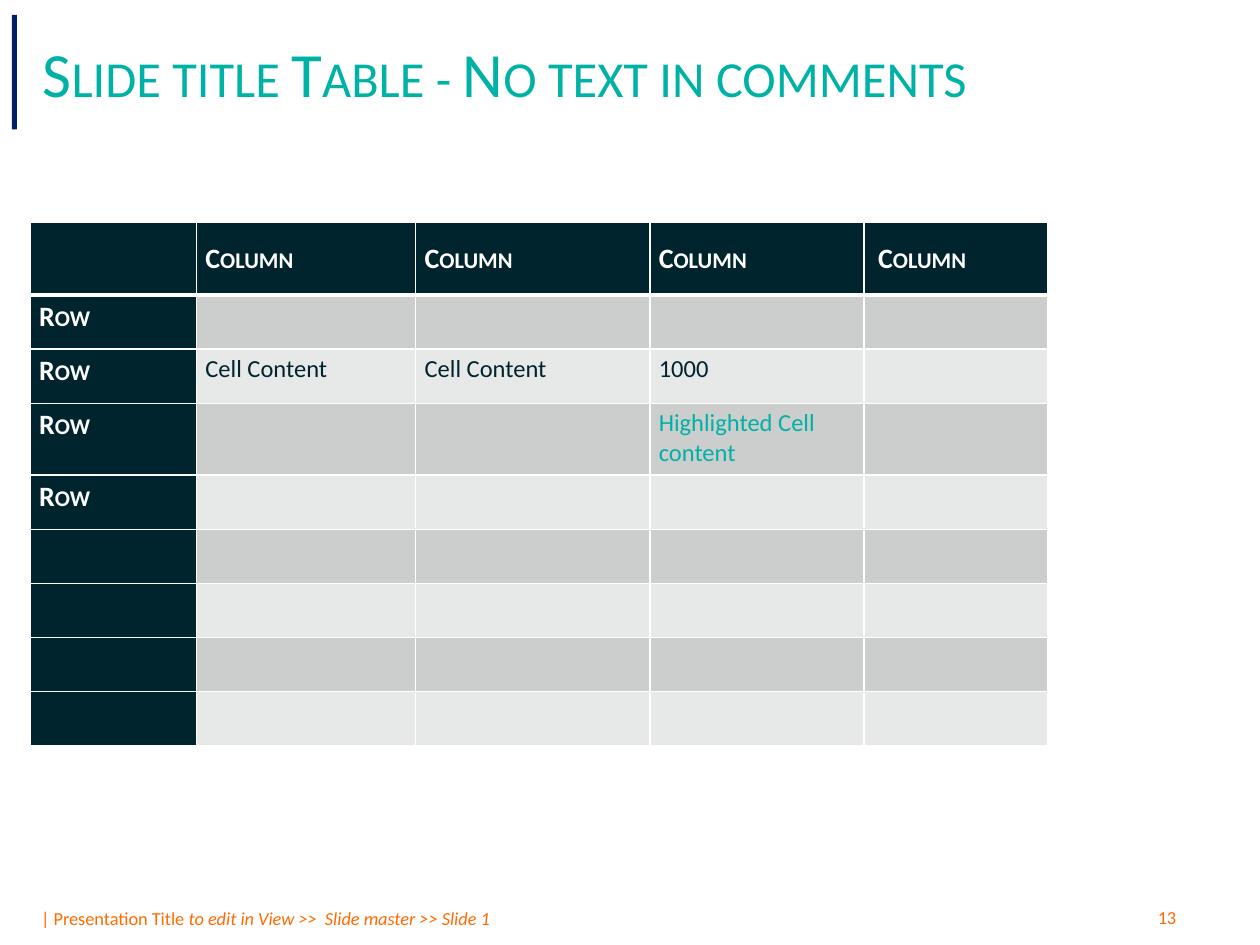
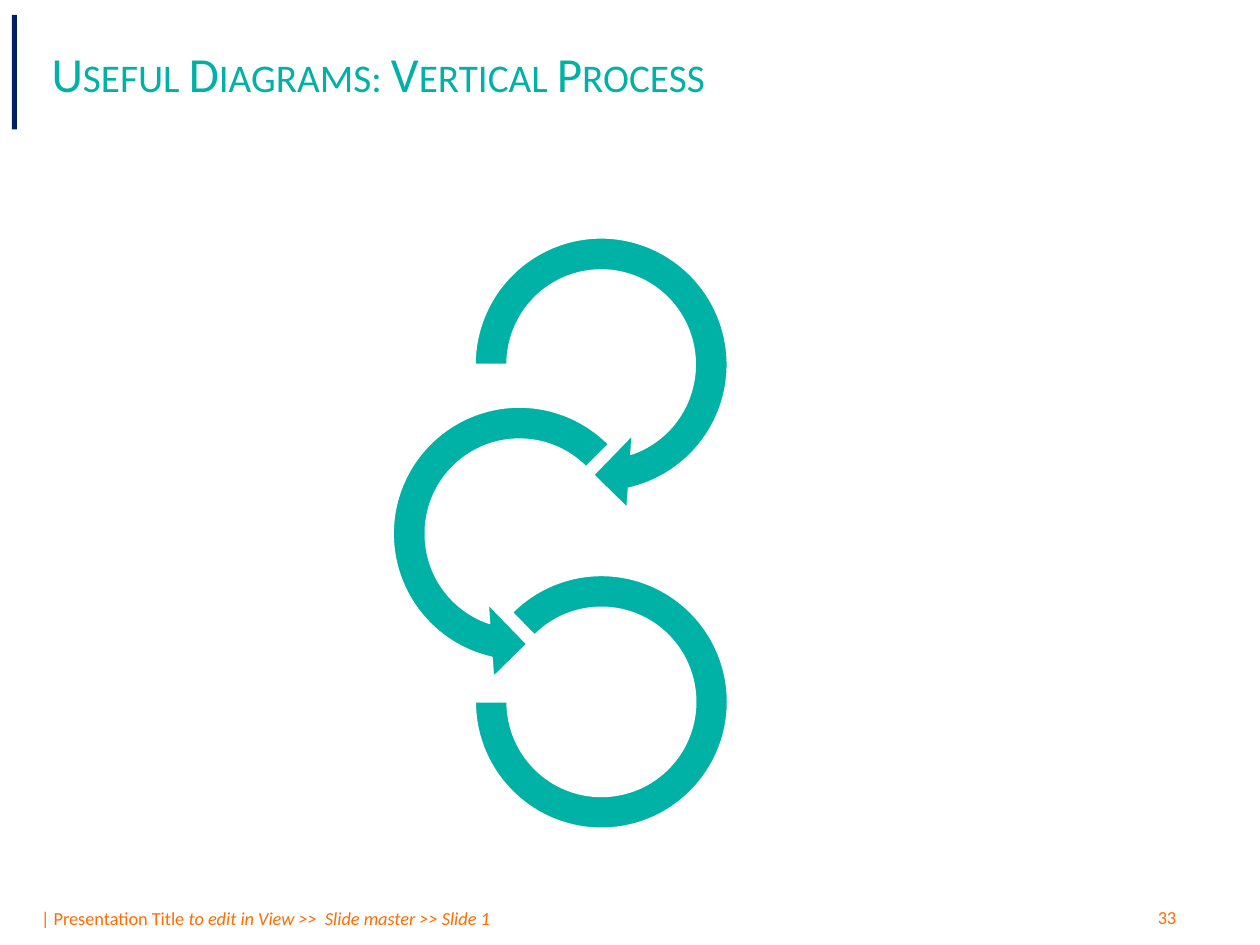
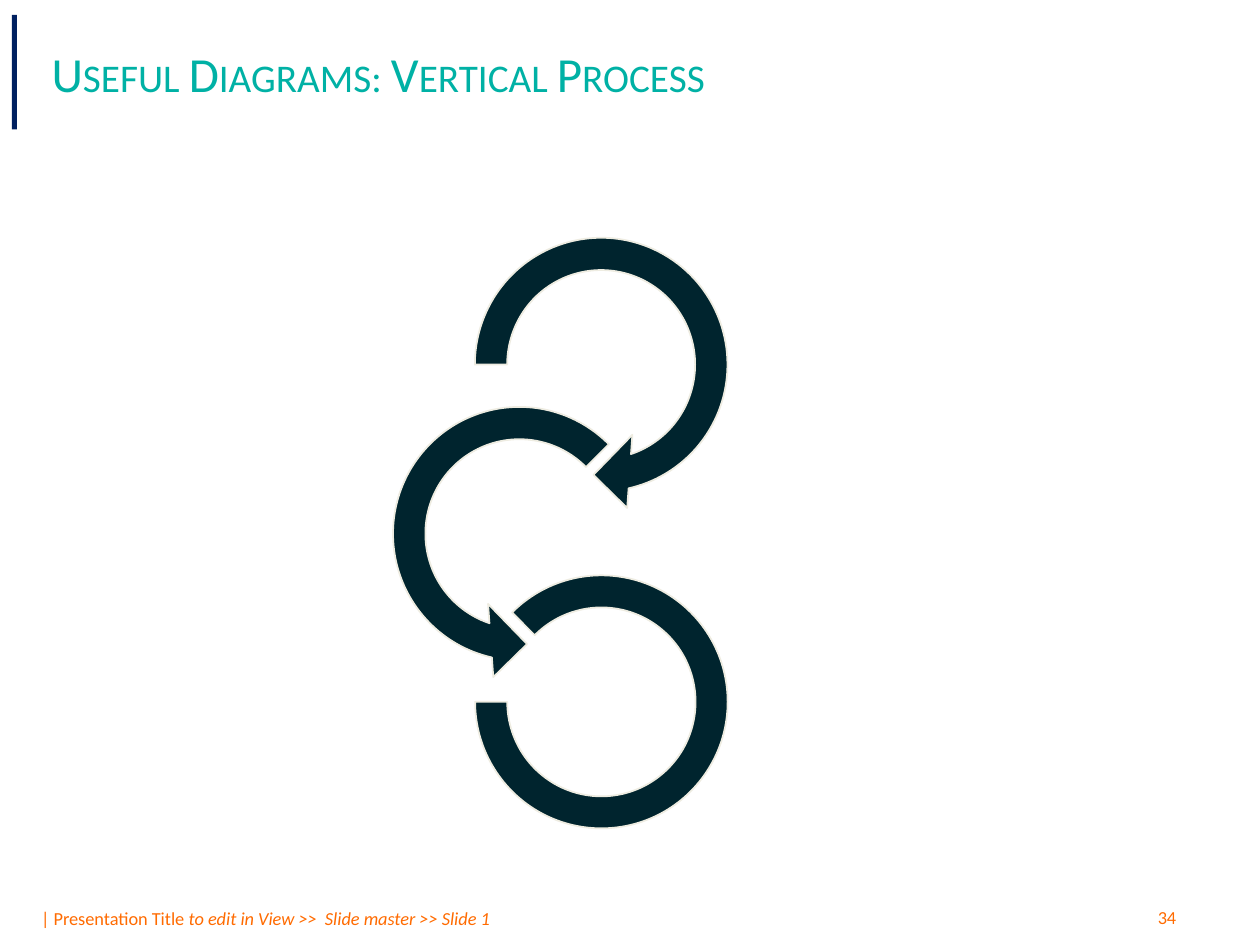
from dataclasses import dataclass

import lxml.etree
import pptx
import pptx.dml.color
import pptx.enum.shapes
import pptx.enum.text
import pptx.oxml.ns
import pptx.presentation
import pptx.shapes.base
import pptx.slide
import pptx.table
import pptx.text.text
import pptx.util

Cm = pptx.util.Cm
Pt = pptx.util.Pt
RGBColor = pptx.dml.color.RGBColor
MSO_SHAPE = pptx.enum.shapes.MSO_SHAPE
MSO_ANCHOR = pptx.enum.text.MSO_ANCHOR
MSO_AUTO_SIZE = pptx.enum.text.MSO_AUTO_SIZE

TEAL = RGBColor(0x00, 0xB1, 0xA5)
INK = RGBColor(0x00, 0x24, 0x2E)
NAVY = RGBColor(0x00, 0x20, 0x60)
ORANGE = RGBColor(0xFF, 0x6B, 0x00)
WHITE = RGBColor(0xFF, 0xFF, 0xFF)
CREAM = RGBColor(0xEE, 0xEC, 0xE1)
BAND_DARK = RGBColor(0xCC, 0xCD, 0xCD)
BAND_LIGHT = RGBColor(0xE7, 0xE8, 0xE8)

FONT = "Calibri"
FOOTER_FORMAT = {"name": FONT, "size": Pt(10.5)}
HEADING_FORMAT = {"name": FONT, "size": Pt(16), "bold": True}
CONTENT_FORMAT = {"name": FONT, "size": Pt(14), "bold": False}
CELL_FORMAT = {
    "margin_left": Cm(0.18),
    "margin_right": Cm(0.18),
    "margin_top": Cm(0.1),
    "margin_bottom": Cm(0.1),
}


@dataclass(frozen=True)
class Box:
    left: float
    top: float
    width: float
    height: float

    def lengths(self) -> tuple[pptx.util.Length, ...]:
        return Cm(self.left), Cm(self.top), Cm(self.width), Cm(self.height)


@dataclass(frozen=True)
class Title:
    text: str
    size: float
    box: Box


@dataclass(frozen=True)
class ProcessStep:
    outline: MSO_SHAPE
    box: Box
    adjustments: tuple[float, ...]


ACCENT_BAR = Box(0.24, 0.3, 0.1, 2.31)
FOOTER = Box(0.58, 18.16, 20.83, 0.71)
PAGE_NUMBER = Box(23.09, 18.14, 2.03, 0.71)

TABLE_TITLE = Title("Slide title Table - No text in comments", 36,
                    Box(0.61, 0.64, 19.79, 1.65))
PROCESS_TITLE = Title("Useful Diagrams: Vertical Process", 28,
                      Box(0.79, 0.64, 19.48, 1.68))

TABLE_ORIGIN = (Cm(0.61), Cm(4.48))
COLUMN_WIDTHS = (3.35, 4.42, 4.72, 4.32, 3.71)
ROW_HEIGHTS = (1.47, 1.09, 1.09, 1.45) + (1.09,) * 5
COLUMN_HEADINGS = ("", "Column", "Column", "Column", " Column")
ROW_HEADINGS = ("Row",) * 4
CELL_CONTENT = {
    (2, 1): ("Cell Content", INK),
    (2, 2): ("Cell Content", INK),
    (2, 3): ("1000", INK),
    (3, 3): ("Highlighted Cell content", TEAL),
}

PROCESS_STEPS = (
    ProcessStep(MSO_SHAPE.CIRCULAR_ARROW, Box(9.16, 4.38, 5.92, 5.94),
                (0.11, 11.42, 45, 108, 0.125)),
    ProcessStep(MSO_SHAPE.LEFT_CIRCULAR_ARROW, Box(7.51, 7.79, 5.92, 5.94),
                (0.11, 11.42, 63, 189, 0.125)),
    ProcessStep(MSO_SHAPE.BLOCK_ARC, Box(9.58, 11.6, 5.09, 5.1),
                (135, 108, 0.127)),
)


def apply_format(target: object, values: dict) -> None:
    for name, value in values.items():
        setattr(target, name, value)


def add_run(paragraph: pptx.text.text._Paragraph, text: str, values: dict,
            color: RGBColor, small_caps: bool = False) -> None:
    run = paragraph.add_run()
    run.text = text
    apply_format(run.font, values)
    run.font.color.rgb = color
    if small_caps:
        run._r.get_or_add_rPr().set("cap", "small")


def add_text_box(slide: pptx.slide.Slide, box: Box,
                 frame_format: dict) -> pptx.text.text._Paragraph:
    """Add an empty text box and return its first paragraph."""
    frame = slide.shapes.add_textbox(*box.lengths()).text_frame
    apply_format(frame, {"word_wrap": True, **frame_format})
    return frame.paragraphs[0]


def paint(shape: pptx.shapes.base.BaseShape, color: RGBColor) -> None:
    shape.shadow.inherit = False
    shape.fill.solid()
    shape.fill.fore_color.rgb = color


def add_slide(deck: pptx.presentation.Presentation, title: Title,
              page: int) -> pptx.slide.Slide:
    """Add a slide with the shared footer, page number, accent bar and title."""
    slide = deck.slides.add_slide(deck.slide_layouts[6])
    grow = {"auto_size": MSO_AUTO_SIZE.SHAPE_TO_FIT_TEXT}

    footer = add_text_box(slide, FOOTER, grow)
    add_run(footer, "| Presentation Title ", FOOTER_FORMAT, ORANGE)
    add_run(footer, "to edit in View >>  Slide master >> Slide 1",
            {**FOOTER_FORMAT, "italic": True}, ORANGE)
    add_run(add_text_box(slide, PAGE_NUMBER, grow), str(page),
            FOOTER_FORMAT, ORANGE)

    accent_bar = slide.shapes.add_shape(MSO_SHAPE.RECTANGLE, *ACCENT_BAR.lengths())
    paint(accent_bar, NAVY)
    accent_bar.line.fill.background()

    heading = add_text_box(slide, title.box, {"vertical_anchor": MSO_ANCHOR.MIDDLE})
    add_run(heading, title.text, {"name": FONT, "size": Pt(title.size)},
            TEAL, small_caps=True)
    return slide


def set_borders(cell: pptx.table._Cell, widths: dict[str, float]) -> None:
    """Draw white borders; call before the fill, which must follow them."""
    properties = cell._tc.get_or_add_tcPr()
    qn = pptx.oxml.ns.qn
    for side, width in widths.items():
        border = lxml.etree.SubElement(properties, qn(f"a:ln{side}"), w=str(Pt(width)))
        fill = lxml.etree.SubElement(border, qn("a:solidFill"))
        lxml.etree.SubElement(fill, qn("a:srgbClr"), val=str(WHITE))


def cell_fill(row: int, column: int) -> RGBColor:
    if row == 0 or column == 0:
        return INK
    return BAND_DARK if row % 2 else BAND_LIGHT


def style_cell(cell: pptx.table._Cell, row: int, column: int) -> None:
    set_borders(cell, {"L": 1, "R": 1, "T": 3 if row == 1 else 1,
                       "B": 3 if row == 0 else 1})
    cell.fill.solid()
    cell.fill.fore_color.rgb = cell_fill(row, column)
    apply_format(cell, CELL_FORMAT)
    if row == 0:
        cell.vertical_anchor = MSO_ANCHOR.MIDDLE


def add_content_table(slide: pptx.slide.Slide) -> None:
    table = slide.shapes.add_table(
        len(ROW_HEIGHTS), len(COLUMN_WIDTHS), *TABLE_ORIGIN,
        Cm(sum(COLUMN_WIDTHS)), Cm(sum(ROW_HEIGHTS))).table
    for column, width in zip(table.columns, COLUMN_WIDTHS):
        column.width = Cm(width)
    for row, height in zip(table.rows, ROW_HEIGHTS):
        row.height = Cm(height)

    headings = {(0, column): text for column, text in enumerate(COLUMN_HEADINGS)}
    headings |= {(row, 0): text for row, text in enumerate(ROW_HEADINGS, start=1)}
    for row in range(len(ROW_HEIGHTS)):
        for column in range(len(COLUMN_WIDTHS)):
            cell = table.cell(row, column)
            style_cell(cell, row, column)
            paragraph = cell.text_frame.paragraphs[0]
            if headings.get((row, column)):
                add_run(paragraph, headings[row, column], HEADING_FORMAT,
                        WHITE, small_caps=True)
            elif (row, column) in CELL_CONTENT:
                text, color = CELL_CONTENT[row, column]
                add_run(paragraph, text, CONTENT_FORMAT, color)


def add_vertical_process(slide: pptx.slide.Slide, fill: RGBColor,
                         outline: RGBColor) -> None:
    process = slide.shapes.add_group_shape()
    for step in PROCESS_STEPS:
        arrow = process.shapes.add_shape(step.outline, *step.box.lengths())
        for index, value in enumerate(step.adjustments):
            arrow.adjustments[index] = value
        paint(arrow, fill)
        arrow.line.color.rgb = outline
        arrow.line.width = Pt(1)


def main() -> None:
    deck = pptx.Presentation()
    deck.slide_width, deck.slide_height = Cm(25.4), Cm(19.05)

    add_content_table(add_slide(deck, TABLE_TITLE, 13))
    add_vertical_process(add_slide(deck, PROCESS_TITLE, 33), TEAL, WHITE)
    add_vertical_process(add_slide(deck, PROCESS_TITLE, 34), INK, CREAM)

    deck.save("out.pptx")


if __name__ == "__main__":
    main()
